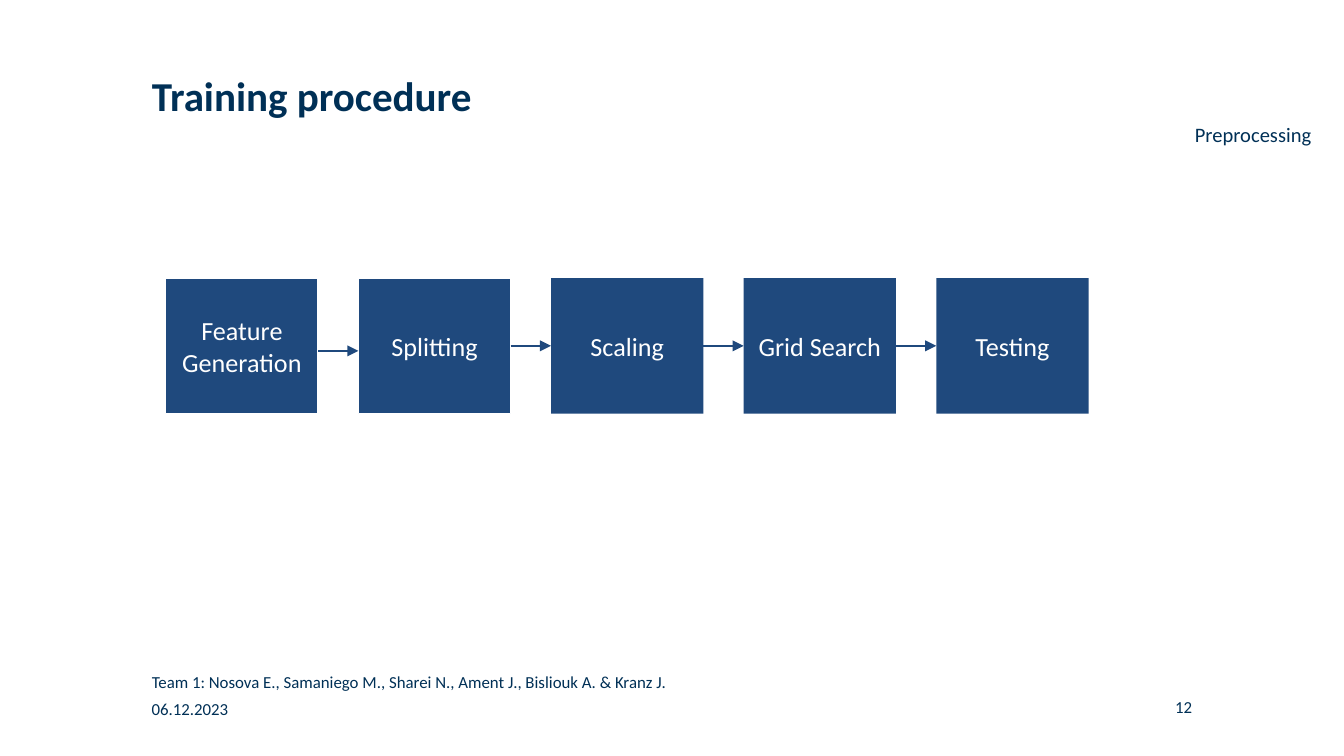
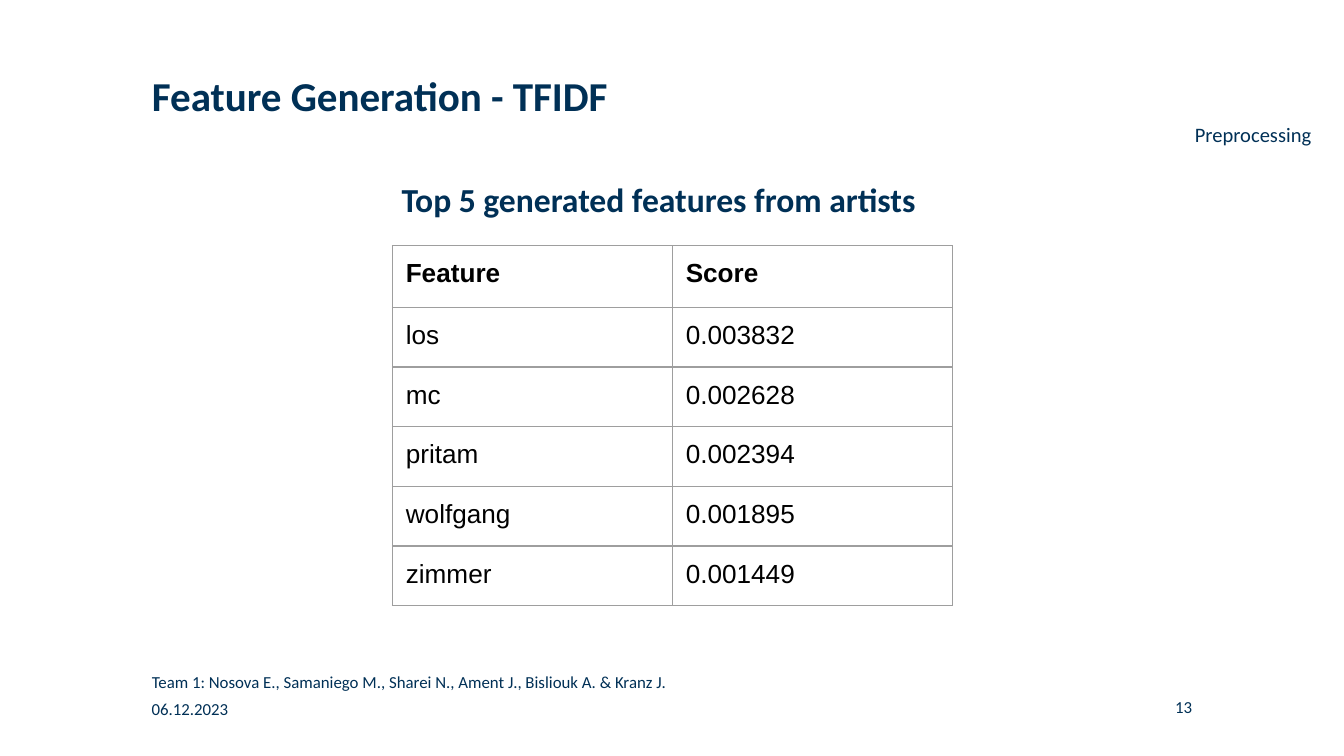
from dataclasses import dataclass
from itertools import pairwise

from lxml.etree import SubElement
from pptx import Presentation
from pptx.dml.color import RGBColor
from pptx.enum.shapes import MSO_CONNECTOR as Link, MSO_SHAPE as Form
from pptx.enum.text import MSO_ANCHOR as Anchor, PP_ALIGN as Align
from pptx.oxml.ns import qn
from pptx.shapes.autoshape import Shape
from pptx.shapes.connector import Connector
from pptx.slide import Slide
from pptx.table import _Cell as Cell
from pptx.text.text import TextFrame
from pptx.util import Pt

NAVY = "003056"
BLUE = "1F497D"
WHITE = "FFFFFF"
BLACK = "000000"
GREY = "9E9E9E"
INSET = 7.2
THIN = 0.75

STEP_LEFT, STEP_TOP = 88.8, 149
STEP_WIDTH, STEP_HEIGHT = 81.6, 72.6
STEP_PITCH = 103.2
FIRST_ARROW = 188


@dataclass(frozen=True)
class Box:
    left: float
    top: float
    width: float
    height: float


@dataclass(frozen=True)
class Step:
    label: str
    edged: bool = False


TITLE = Box(81.4, 36, 381.6, 29.5)
TOPIC = Box(640.1, 65.5, 82.8, 23)
TEAM = Box(74.2, 358.6, 334.8, 13.7)
DATE = Box(74.2, 373, 240.5, 13.7)
PAGE = Box(555.8, 373, 82.8, 10.8)
HEADING = Box(208, 88.6, 303.8, 32.4)
GRID = Box(210.2, 131.6, 300, 193)

STEPS = [
    Step("Feature Generation", True),
    Step("Splitting", True),
    Step("Scaling"),
    Step("Grid Search"),
    Step("Testing"),
]
ROWS = [
    ("Feature", "Score"),
    ("los", "0.003832"),
    ("mc", "0.002628"),
    ("pritam", "0.002394"),
    ("wolfgang", "0.001895"),
    ("zimmer", "0.001449"),
]


def paint(code: str) -> RGBColor:
    return RGBColor.from_string(code)


def write(frame: TextFrame, text: str, size: float = 14, color: str = NAVY,
          font: str = "Calibri", bold: bool = False, align: Align = Align.LEFT,
          anchor: Anchor = Anchor.TOP, inset: float = 0) -> None:
    frame.word_wrap = True
    frame.vertical_anchor = anchor
    frame.margin_left = frame.margin_right = Pt(inset)
    frame.margin_top = frame.margin_bottom = Pt(inset)
    line = frame.paragraphs[0]
    line.alignment = align
    run = line.add_run()
    run.text = text
    run.font.size = Pt(size)
    run.font.name = font
    run.font.bold = bold
    run.font.color.rgb = paint(color)


def place(slide: Slide, box: Box, text: str, **style) -> None:
    shape = slide.shapes.add_textbox(
        Pt(box.left), Pt(box.top), Pt(box.width), Pt(box.height))
    write(shape.text_frame, text, **style)


def start(deck: Presentation, title: str, page: int) -> Slide:
    slide = deck.slides.add_slide(deck.slide_layouts[6])
    small = {"size": 9, "anchor": Anchor.MIDDLE, "inset": INSET}
    place(slide, TEAM,
          "Team 1: Nosova E., Samaniego M., Sharei N., Ament J., Bisliouk A. & Kranz J.",
          **small)
    place(slide, DATE, "06.12.2023", **small)
    place(slide, TITLE, title, size=22, bold=True, anchor=Anchor.MIDDLE)
    place(slide, TOPIC, "Preprocessing", size=11)
    place(slide, PAGE, str(page), size=9, align=Align.RIGHT)
    return slide


def block(slide: Slide, index: int, step: Step) -> Shape:
    shape = slide.shapes.add_shape(
        Form.RECTANGLE, Pt(STEP_LEFT + index * STEP_PITCH), Pt(STEP_TOP),
        Pt(STEP_WIDTH), Pt(STEP_HEIGHT))
    shape.shadow.inherit = False
    shape.fill.solid()
    shape.fill.fore_color.rgb = paint(BLUE)
    if step.edged:
        shape.line.color.rgb = paint(WHITE)
        shape.line.width = Pt(THIN)
    else:
        shape.line.fill.background()
    write(shape.text_frame, step.label, color=WHITE, align=Align.CENTER,
          anchor=Anchor.MIDDLE, inset=INSET)
    return shape


def arrow(slide: Slide, tail: Shape, head: Shape) -> Connector:
    level = Pt(FIRST_ARROW)
    link = slide.shapes.add_connector(
        Link.STRAIGHT, tail.left + tail.width, level, head.left, level)
    link.line.color.rgb = paint(BLUE)
    link.line.width = Pt(THIN)
    SubElement(link.line._get_or_add_ln(), qn("a:tailEnd"), type="triangle")
    SubElement(link._element.spPr, qn("a:effectLst"))
    return link


def flow(slide: Slide) -> None:
    blocks = [block(slide, index, step) for index, step in enumerate(STEPS)]
    for index, (tail, head) in enumerate(pairwise(blocks)):
        link = arrow(slide, tail, head)
        if index > 0:
            link.begin_connect(tail, 3)
            link.end_connect(head, 1)


def border(cell: Cell) -> None:
    props = cell._tc.get_or_add_tcPr()
    for side in ("lnL", "lnR", "lnT", "lnB"):
        line = SubElement(props, qn(f"a:{side}"), w=str(Pt(THIN)))
        solid = SubElement(line, qn("a:solidFill"))
        SubElement(solid, qn("a:srgbClr"), val=GREY)


def scores(slide: Slide) -> None:
    table = slide.shapes.add_table(
        len(ROWS), len(ROWS[0]), Pt(GRID.left), Pt(GRID.top),
        Pt(GRID.width), Pt(GRID.height)).table
    table.first_row = table.horz_banding = False
    for index, row in enumerate(ROWS):
        table.rows[index].height = Pt(32 if index else 33)
        for col, text in enumerate(row):
            cell = table.cell(index, col)
            cell.margin_left = cell.margin_right = Pt(INSET)
            cell.margin_top = cell.margin_bottom = Pt(INSET)
            border(cell)
            cell.fill.background()
            write(cell.text_frame, text, color=BLACK, font="Arial",
                  bold=index == 0, inset=INSET)


def main() -> None:
    deck = Presentation()
    deck.slide_width, deck.slide_height = Pt(720), Pt(405)
    flow(start(deck, "Training procedure", 12))
    slide = start(deck, "Feature Generation - TFIDF", 13)
    scores(slide)
    place(slide, HEADING, "Top 5 generated features from artists",
          size=18, bold=True, inset=INSET)
    deck.save("out.pptx")


if __name__ == "__main__":
    main()
